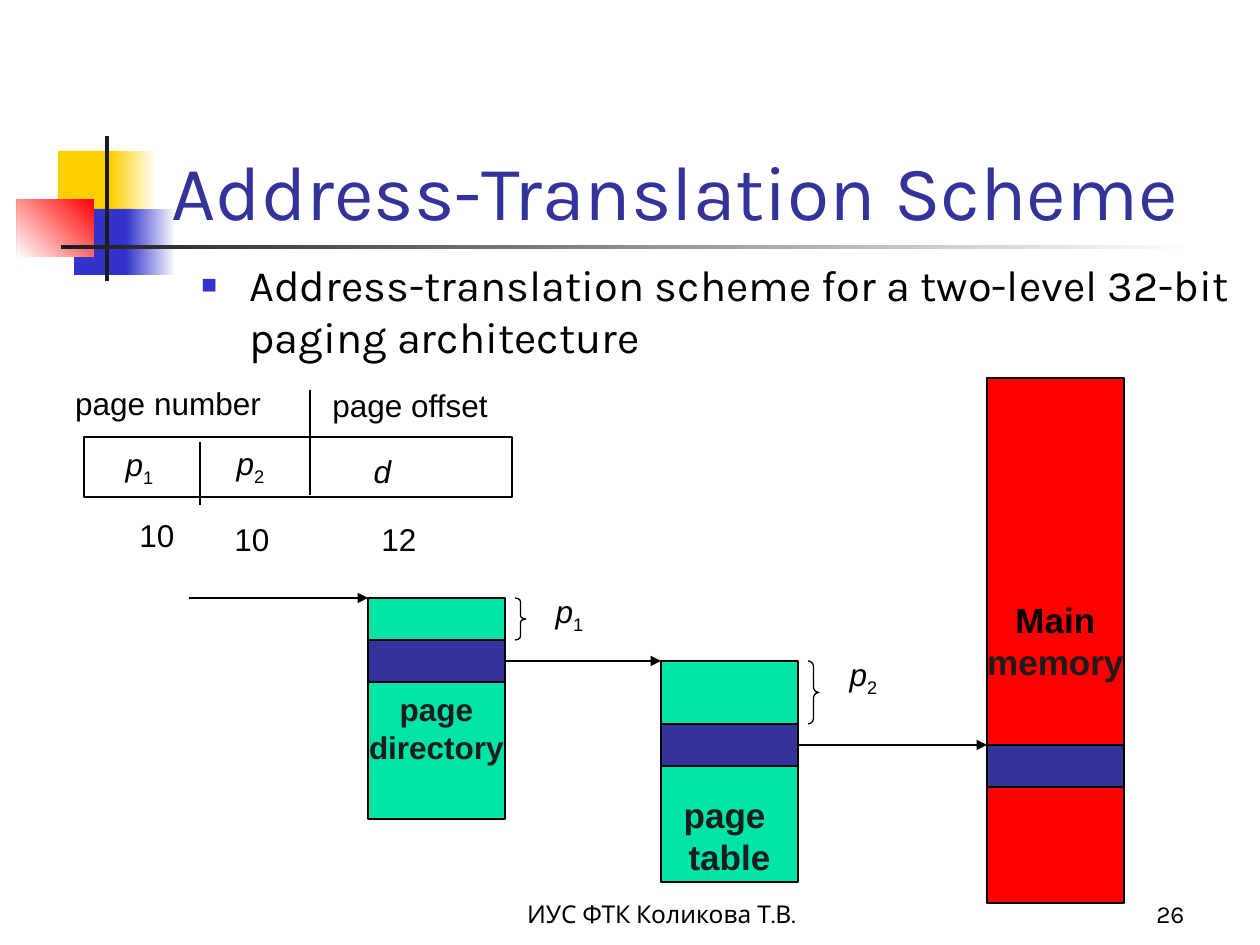
from lxml import etree
from pptx import Presentation
from pptx.dml.color import RGBColor
from pptx.enum.shapes import MSO_CONNECTOR, MSO_SHAPE
from pptx.enum.text import MSO_ANCHOR, MSO_AUTO_SIZE, PP_ALIGN
from pptx.oxml.ns import qn
from pptx.util import Pt

PX = 914400 // 126
RECTANGLE, RIGHT_BRACE = MSO_SHAPE.RECTANGLE, MSO_SHAPE.RIGHT_BRACE
STRAIGHT = MSO_CONNECTOR.STRAIGHT
TOP, MIDDLE, BOTTOM = MSO_ANCHOR.TOP, MSO_ANCHOR.MIDDLE, MSO_ANCHOR.BOTTOM
LEFT, CENTER, RIGHT = PP_ALIGN.LEFT, PP_ALIGN.CENTER, PP_ALIGN.RIGHT
FIT_SHAPE = MSO_AUTO_SIZE.SHAPE_TO_FIT_TEXT

WHITE = RGBColor(255, 255, 255)
BLACK = RGBColor(0, 0, 0)
CHARCOAL = RGBColor(0x1C, 0x1C, 0x1C)
YELLOW = RGBColor(0xFF, 0xCF, 0x01)
BLUE = RGBColor(0x33, 0x33, 0xCC)
INDIGO = RGBColor(0x33, 0x33, 0x99)
GREEN = RGBColor(0x00, 0xE4, 0xA8)
RED = RGBColor(255, 0, 0)

# Box, colour, angle of the fade to white (None for a solid fill)
ORNAMENTS = [
    ((58, 151, 60, 65), YELLOW, None),
    ((111, 151, 45, 65), YELLOW, 0),
    ((74, 209, 58, 66), BLUE, None),
    ((126, 209, 50, 66), BLUE, 0),
    ((17, 199, 77, 58), RED, 225),
    ((105, 136, 4, 145), CHARCOAL, None),
    ((61, 245, 1134, 4), CHARCOAL, 0),
]

# Text, box, size, colour, alignment, anchor
FRAME_TEXTS = [
    ("Address-Translation Scheme", (159, 84, 1074, 158), 44, INDIGO, LEFT, BOTTOM),
    ("Address-translation scheme for a two-level 32-bit paging architecture",
     (189, 252, 1071, 120), 24.8, BLACK, LEFT, TOP),
    ("ИУС ФТК Коликова Т.В.", (462, 872, 399, 63), 14, BLACK, CENTER, BOTTOM),
    ("26", (935, 872, 262, 63), 14, BLACK, RIGHT, BOTTOM),
]
BODY_INDEX = 1

ADDRESS_BOX = (84, 437, 428, 60)
ADDRESS_DIVIDERS = [(200, 442, 505), (310, 390, 495)]  # x, top, bottom

# Text, subscript, italic, box
LABELS = [
    ("page number", "", False, (63, 378, 210, 50)),
    ("page offset", "", False, (320, 380, 180, 50)),
    ("p", "1", True, (113, 439, 53, 55)),
    ("p", "2", True, (224, 438, 53, 55)),
    ("d", "", True, (361, 446, 43, 50)),
    ("10", "", False, (127, 510, 60, 50)),
    ("10", "", False, (222, 514, 60, 50)),
    ("12", "", False, (369, 514, 60, 50)),
    ("p", "1", True, (543, 586, 53, 55)),
    ("p", "2", True, (837, 649, 53, 55)),
]

# Left, top, height, top of marked entry, colour, text size, top inset, lines
COLUMN_WIDTH, ENTRY_HEIGHT = 137, 42
COLUMNS = [
    (368, 598, 221, 640, GREEN, 18, 39,
     [("page", CHARCOAL), ("directory", CHARCOAL)]),
    (661, 661, 221, 724, GREEN, 20, 127,
     [("page ", CHARCOAL), ("table", CHARCOAL)]),
    (987, 378, 525, 745, RED, 20, 0,
     [("Main", BLACK), ("memory", CHARCOAL)]),
]
INDEXED_COLUMNS = COLUMNS[:2]
BRACE_GAP, BRACE_WIDTH = 10, 11
FIRST_ARROW_START = 189


def px(*lengths):
    return [length * PX for length in lengths]


def add_box(box, color, kind=RECTANGLE, outlined=True):
    shape = slide.shapes.add_shape(kind, *px(*box))
    shape.shadow.inherit = False
    if color is None:
        shape.fill.background()
    else:
        shape.fill.solid()
        shape.fill.fore_color.rgb = color
    if outlined:
        shape.line.color.rgb = BLACK
        shape.line.width = Pt(0.75)
    else:
        shape.line.fill.background()
    return shape


def add_line(x1, y1, x2, y2, arrow=False):
    line = slide.shapes.add_connector(STRAIGHT, *px(x1, y1, x2, y2))
    line.line.color.rgb = BLACK
    line.line.width = Pt(0.75)
    if arrow:
        etree.SubElement(line.line._get_or_add_ln(), qn("a:tailEnd"), type="triangle")
    etree.SubElement(line._element.spPr, qn("a:effectLst"))
    return line


def style(paragraph, name, size, color, alignment):
    paragraph.alignment = alignment
    font = paragraph.font
    font.name, font.size = name, Pt(size)
    font.color.rgb = color


def add_bullet(paragraph):
    properties = paragraph._p.get_or_add_pPr()
    properties.set("marL", str(48 * PX))
    properties.set("indent", str(-48 * PX))
    bullet_color = etree.SubElement(properties, qn("a:buClr"))
    etree.SubElement(bullet_color, qn("a:srgbClr"), val=str(BLUE))
    etree.SubElement(properties, qn("a:buSzPct"), val="60000")
    etree.SubElement(properties, qn("a:buFont"), typeface="Arial")
    etree.SubElement(properties, qn("a:buChar"), char="■")


def add_label(text, subscript, italic, box):
    frame = slide.shapes.add_textbox(*px(*box)).text_frame
    frame.word_wrap = False
    frame.auto_size = FIT_SHAPE
    frame.vertical_anchor = MIDDLE
    frame.margin_left = frame.margin_right = 0
    paragraph = frame.paragraphs[0]
    style(paragraph, "Arial", 18, BLACK, CENTER)
    run = paragraph.add_run()
    run.text = text
    run.font.italic = italic
    if subscript:
        run = paragraph.add_run()
        run.text = subscript
        run._r.get_or_add_rPr().set("baseline", "-25000")


def add_column(left, top, height, entry_top, color, size, inset, lines):
    """Draw a column with its marked entry, and return the entry."""
    column = add_box((left, top, COLUMN_WIDTH, height), color)
    frame = column.text_frame
    frame.word_wrap = False
    frame.vertical_anchor = MIDDLE
    frame.margin_top, frame.margin_bottom = inset * PX, 0
    paragraph = frame.paragraphs[0]
    style(paragraph, "Arial", size, CHARCOAL, CENTER)
    paragraph.font.bold = True
    for number, (text, text_color) in enumerate(lines):
        if number:
            paragraph.add_line_break()
        run = paragraph.add_run()
        run.text = text
        run.font.color.rgb = text_color
    return add_box((left, entry_top, COLUMN_WIDTH, ENTRY_HEIGHT), INDIGO)


presentation = Presentation()
presentation.slide_width, presentation.slide_height = px(1260, 945)
slide = presentation.slides.add_slide(presentation.slide_layouts[6])

for box, color, angle in ORNAMENTS:
    ornament = add_box(box, color, outlined=False)
    if angle is not None:
        ornament.fill.gradient()
        ornament.fill.gradient_angle = angle
        for stop, stop_color in zip(ornament.fill.gradient_stops, (color, WHITE)):
            stop.color.rgb = stop_color

for index, (text, box, size, color, alignment, anchor) in enumerate(FRAME_TEXTS):
    frame = slide.shapes.add_textbox(*px(*box)).text_frame
    frame.word_wrap = True
    frame.vertical_anchor = anchor
    frame.text = text
    if index == BODY_INDEX:
        add_bullet(frame.paragraphs[0])
    style(frame.paragraphs[0], "Karla", size, color, alignment)

add_box(ADDRESS_BOX, WHITE)
for x, top, bottom in ADDRESS_DIVIDERS:
    add_line(x, top, x, bottom)
for label in LABELS:
    add_label(*label)

entries = [add_column(*column) for column in COLUMNS]
first_left, first_top = COLUMNS[0][:2]
add_line(FIRST_ARROW_START, first_top, first_left, first_top, arrow=True)
for source, target, entry in zip(COLUMNS, COLUMNS[1:], entries):
    y = source[3] + ENTRY_HEIGHT // 2
    arrow = add_line(source[0] + COLUMN_WIDTH, y, target[0], y, arrow=True)
    arrow.begin_connect(entry, 3)

for left, top, _, entry_top, *_ in INDEXED_COLUMNS:
    height = entry_top - top
    brace = add_box((left + COLUMN_WIDTH + BRACE_GAP, top, BRACE_WIDTH, height),
                    None, RIGHT_BRACE)
    brace.adjustments[0] = round(height / 12 / BRACE_WIDTH, 2)

presentation.save("out.pptx")
